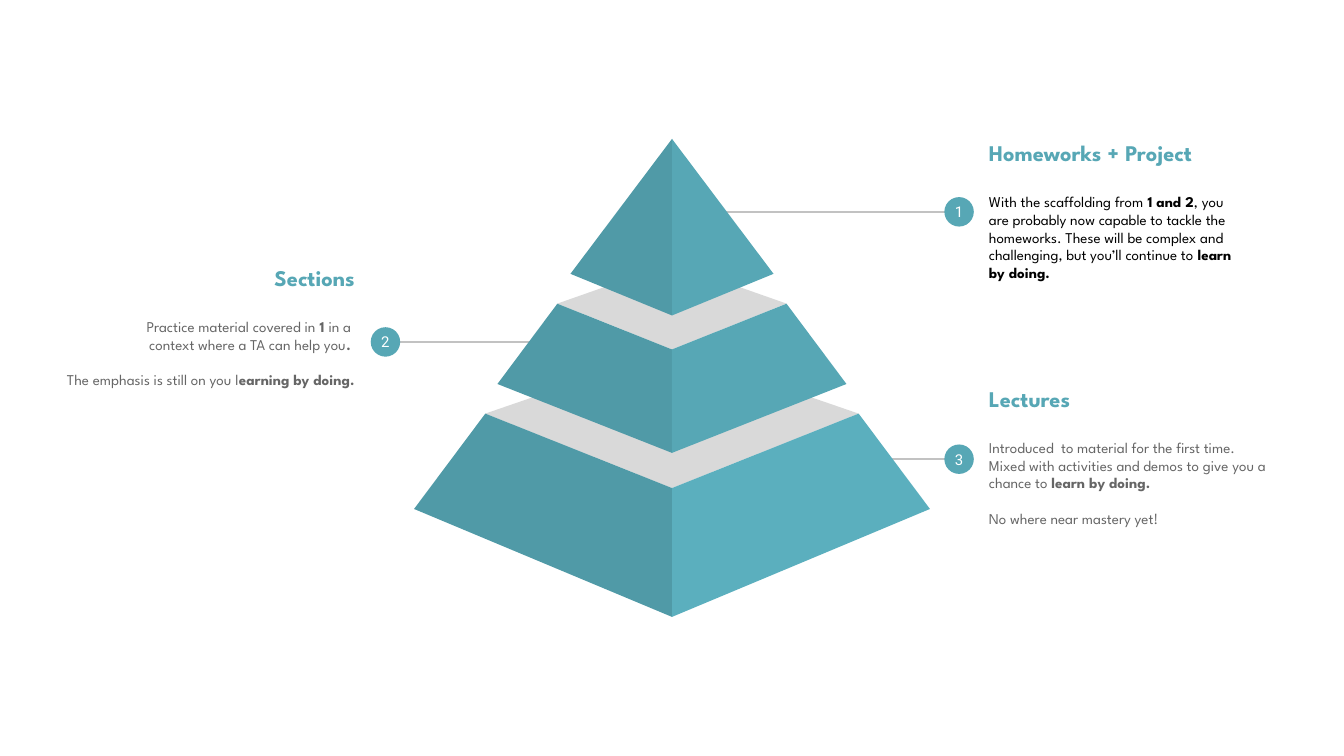
"""Build the three-tier learning pyramid slide."""
import pptx
import pptx.dml.color
import pptx.enum.shapes
import pptx.enum.text
import pptx.util
from lxml import etree

Pt = pptx.util.Pt
RGBColor = pptx.dml.color.RGBColor
Align = pptx.enum.text.PP_ALIGN
Anchor = pptx.enum.text.MSO_ANCHOR

TEAL = RGBColor(0x57, 0xA7, 0xB5)
DARK_TEAL = RGBColor(0x50, 0x9A, 0xA7)
LIGHT_TEAL = RGBColor(0x5B, 0xAF, 0xBE)
ROOF_GRAY = RGBColor(0xD9, 0xD9, 0xD9)
LINE_GRAY = RGBColor(0xC2, 0xC2, 0xC2)
TEXT_GRAY = RGBColor(0x66, 0x66, 0x66)
BLACK = RGBColor(0, 0, 0)
WHITE = RGBColor(0xFF, 0xFF, 0xFF)

CENTER = 360
BADGE = 15.8
LINE_GAP = 9.5


class PyramidSlide:
    """Hold the style and the current slide."""

    heading_font = "League Spartan"
    number_font = "Roboto"

    def __init__(self, slide):
        self.slide = slide

    def style(self, paragraph, name, size, color, align):
        paragraph.alignment = align
        paragraph.font.name = name
        paragraph.font.size = Pt(size)
        paragraph.font.color.rgb = color

    def paint(self, shape, color):
        shape.shadow.inherit = False
        shape.fill.solid()
        shape.fill.fore_color.rgb = color
        shape.line.fill.background()

    def polygon(self, points, color):
        corners = [(Pt(x), Pt(y)) for x, y in points]
        builder = self.slide.shapes.build_freeform(*corners[0], scale=1.0)
        builder.add_line_segments(corners[1:], close=True)
        self.paint(builder.convert_to_shape(), color)

    def tier(self, outline, right_color, roof_top=None):
        if roof_top:
            inner, shoulder = outline[:2]
            roof = [(0, roof_top), shoulder, inner, (-shoulder[0], shoulder[1])]
            self.polygon([(CENTER + x, y) for x, y in roof], ROOF_GRAY)
        for side, color in ((-1, DARK_TEAL), (1, right_color)):
            self.polygon([(CENTER + side * x, y) for x, y in outline], color)

    def leader(self, start, end, y):
        line = self.slide.shapes.add_connector(
            pptx.enum.shapes.MSO_CONNECTOR.STRAIGHT, Pt(start), Pt(y), Pt(end), Pt(y))
        line.line.color.rgb = LINE_GRAY
        line.line.width = Pt(0.75)
        etree.SubElement(line._element.spPr, pptx.oxml.ns.qn("a:effectLst"))

    def badge(self, number, x, y):
        shape = self.slide.shapes.add_shape(
            pptx.enum.shapes.MSO_SHAPE.OVAL,
            Pt(x - BADGE / 2), Pt(y - BADGE / 2), Pt(BADGE), Pt(BADGE))
        self.paint(shape, TEAL)
        frame = shape.text_frame
        frame.margin_left = frame.margin_right = frame.margin_top = frame.margin_bottom = 0
        frame.vertical_anchor = Anchor.MIDDLE
        frame.word_wrap = False
        paragraph = frame.paragraphs[0]
        paragraph.add_run().text = number
        self.style(paragraph, self.number_font, 8, WHITE, Align.CENTER)

    def caption(self, box, heading, body, color=TEXT_GRAY, align=Align.LEFT, bottom=7.2):
        frame = self.slide.shapes.add_textbox(*map(Pt, box)).text_frame
        frame.word_wrap = True
        frame.vertical_anchor = Anchor.MIDDLE
        frame.margin_left = frame.margin_right = frame.margin_top = Pt(7.2)
        frame.margin_bottom = Pt(bottom)
        title = frame.paragraphs[0]
        title.add_run().text = heading
        self.style(title, self.heading_font, 12, TEAL, align)
        title.font.bold = True
        title.space_after = Pt(14.3)
        for gap, text in body:
            paragraph = frame.add_paragraph()
            self.style(paragraph, self.heading_font, 8, color, align)
            paragraph.space_before = Pt(gap)
            for index, part in enumerate(text.split("**")):
                if part:
                    run = paragraph.add_run()
                    run.text = part
                    run.font.bold = index % 2 == 1


def main():
    presentation = pptx.Presentation()
    presentation.slide_width, presentation.slide_height = Pt(720), Pt(405)
    page = PyramidSlide(presentation.slides.add_slide(presentation.slide_layouts[6]))

    for number, start, end, badge_x, y in (
            ("3", 475.2, 521.3, 513.8, 246),
            ("2", 285.8, 203.8, 206.5, 183.2),
            ("1", 386.6, 521.3, 513.8, 113.5)):
        page.leader(start, end, y)
        page.badge(number, badge_x, y)

    page.caption((522.7, 190, 164.9, 108.7), "Lectures", [
        (0, "Introduced  to material for the first time."),
        (0, "Mixed with activities and demos to give you a chance to **learn by doing.**"),
        (LINE_GAP, "No where near mastery yet!")])
    page.caption((8.6, 128.9, 188.6, 108.7), "Sections", [
        (0, "Practice material covered in **1 **in a "),
        (0, "context where a TA can help you**. **"),
        (LINE_GAP, "The emphasis is still on you l**earning by doing.**")],
        align=Align.RIGHT, bottom=24)
    page.caption((522.7, 58.3, 146.9, 108.7), "Homeworks + Project", [
        (0, "With the scaffolding from **1 and 2**, you are probably now capable to "
            "tackle the homeworks. These will be complex and challenging, but "
            "you’ll continue to **learn by doing.**")], color=BLACK)

    page.tier([(0, 261.5), (100, 221.6), (138.2, 272.7), (0, 330.5)], LIGHT_TEAL, 187.2)
    page.tier([(0, 187.2), (61.4, 162.7), (93.5, 205.7), (0, 242.6)], TEAL, 141.1)
    page.tier([(0, 74.4), (54.4, 146.7), (0, 169)], TEAL)

    presentation.save("out.pptx")


if __name__ == "__main__":
    main()
